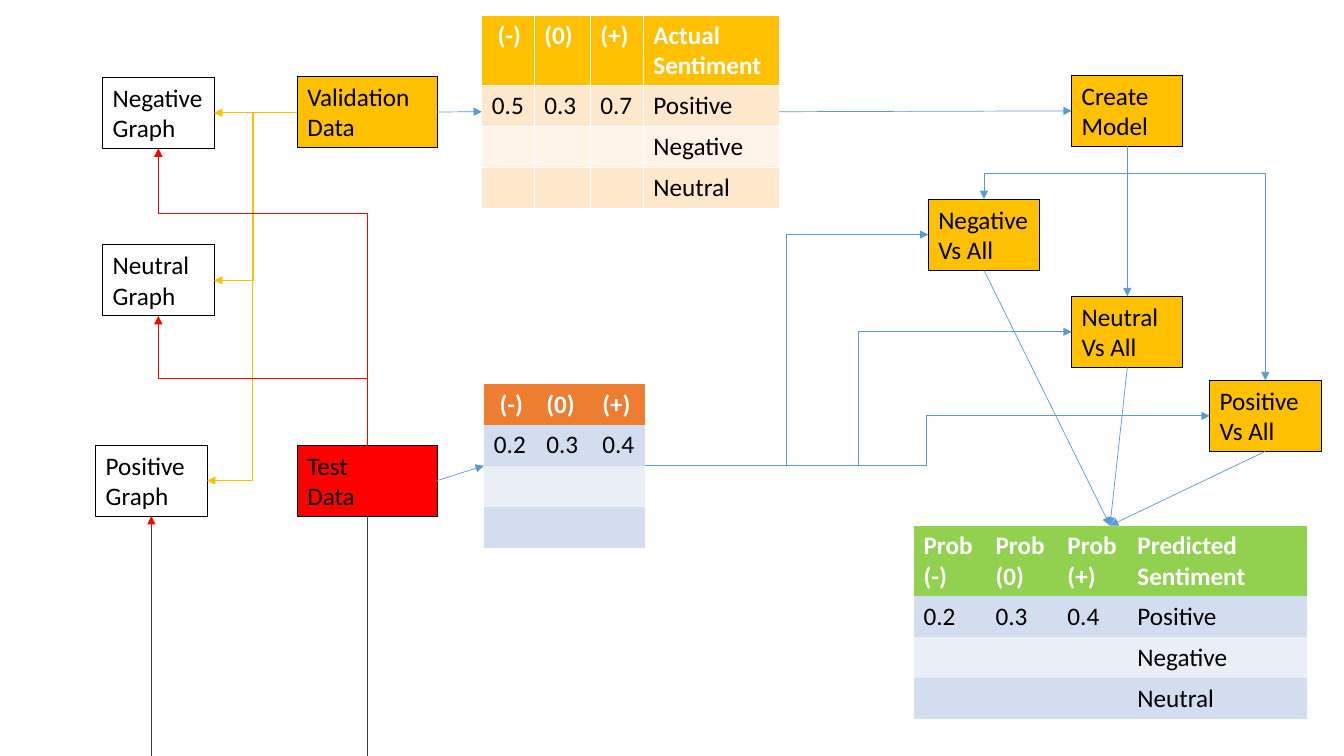
from lxml import etree
from pptx import Presentation
from pptx import oxml, util as u
from pptx.dml.color import RGBColor
from pptx.enum import shapes as sh, text as tx
from pptx.oxml.ns import qn

Pt = u.Pt
GOLD, RED, BLUE, DARK = "FFC000", "FF0000", "5B9BD5", "404040"
PALE = ["D2DEEF", "EAEFF7"]
CREAM = ["FFE8CC", "FFF4E7"]
PLAIN = "{2D5ABB26-0587-4C30-8999-92F81FD0307C}"
HIGH, ROW, HEAD = 50.8, 29.2, 50.6


def hue(code):
    return RGBColor.from_string(code)


def write(frame, words, color="000000", bold=False):
    for i, line in enumerate(words.split("\n")):
        para = frame.paragraphs[0] if i == 0 else frame.add_paragraph()
        para.alignment = tx.PP_ALIGN.LEFT
        run = para.add_run()
        run.text = line
        run.font.name = "Calibri"
        run.font.size = Pt(18)
        run.font.bold = bold
        run.font.color.rgb = hue(color)


def box(slide, words, x, y, wide=79.5, fill=None):
    node = slide.shapes.add_shape(
        sh.MSO_SHAPE.RECTANGLE, Pt(x), Pt(y), Pt(wide), Pt(HIGH))
    node.shadow.inherit = False
    if fill:
        node.fill.solid()
        node.fill.fore_color.rgb = hue(fill)
    else:
        node.fill.background()
    node.line.color.rgb = hue("000000")
    node.line.width = Pt(0.75)
    frame = node.text_frame
    frame.word_wrap = True
    frame.vertical_anchor = tx.MSO_ANCHOR.TOP
    frame.auto_size = tx.MSO_AUTO_SIZE.SHAPE_TO_FIT_TEXT
    write(frame, words)
    return node


def side(node, spot):
    x, y = [(0.5, 0), (0, 0.5), (0.5, 1), (1, 0.5)][spot]
    return ((node.left + x * node.width) / Pt(1),
            (node.top + y * node.height) / Pt(1))


def wire(slide, kind, a, b, color, tip=True):
    line = slide.shapes.add_connector(kind, *[Pt(v) for v in (*a, *b)])
    line.line.color.rgb = hue(color)
    line.line.width = Pt(0.5)
    if tip:
        pen = line.line._get_or_add_ln()
        etree.SubElement(pen, qn("a:tailEnd"), type="triangle")
    etree.SubElement(line._element.spPr, qn("a:effectLst"))
    return line


def link(slide, a, b, color=BLUE, tip=True, start=None, end=None):
    line = wire(slide, sh.MSO_CONNECTOR.STRAIGHT, a, b, color, tip)
    if start:
        line.begin_connect(*start)
    if end:
        line.end_connect(*end)


def bend(slide, a, b, mid, color=BLUE, down=False):
    (ax, ay), (bx, by) = a, b
    part = (mid - ay) / (by - ay) if down else (mid - ax) / (bx - ax)
    if down:
        cx, cy = (ax + bx) / 2, (ay + by) / 2
        dx, dy = (bx - ax) / 2, (by - ay) / 2
        a, b = (cx - dy, cy + dx), (cx + dy, cy - dx)
    line = wire(slide, sh.MSO_CONNECTOR.ELBOW, a, b, color)
    props = line._element.spPr
    if down:
        props.find(qn("a:xfrm")).set("rot", "5400000")
    shape = props.find(qn("a:prstGeom"))
    for old in shape.findall(qn("a:avLst")):
        shape.remove(old)
    shape.append(oxml.parse_xml(
        '<a:avLst xmlns:a="http://schemas.openxmlformats.org/drawingml/2006/main">'
        f'<a:gd name="adj1" fmla="val {round(part * 100000)}"/></a:avLst>'))


def grid(slide, x, y, cols, rows, head, bands, top=HEAD, lined=False):
    high = top + ROW * (len(rows) - 1)
    item = slide.shapes.add_table(
        len(rows), len(cols), Pt(x), Pt(y), Pt(sum(cols)), Pt(high))
    table = item.table
    if not lined:
        table._tbl.tblPr.find(qn("a:tableStyleId")).text = PLAIN
    for col, wide in zip(table.columns, cols):
        col.width = Pt(wide)
    for r, words in enumerate(rows):
        table.rows[r].height = Pt(ROW if r else top)
        for c, word in enumerate(words):
            cell = table.cell(r, c)
            cell.fill.solid()
            cell.fill.fore_color.rgb = hue(bands[(r - 1) % 2] if r else head)
            if word:
                write(cell.text_frame, word, "000000" if r else "FFFFFF", not r)
            else:
                cell.text_frame.paragraphs[0].font.size = Pt(18)
    return item


def inputs(slide, x, y, base):
    graphs = [box(slide, name + "\nGraph", x + dx, y + dy) for name, dx, dy in
              (("Negative", 5, 0.6), ("Neutral", 5, 120.3), ("Positive", 0, 263.3))]
    valid = box(slide, "Validation Data", x + 144, y, 99.8, GOLD)
    test = box(slide, "Test\nData", x + 144, y + 263.3, 99.8, RED)
    for graph in graphs:
        bend(slide, side(valid, 1), side(graph, 3), x + 112.2, GOLD)
    bend(slide, side(test, 0), side(graphs[0], 2), y + 97.8, RED, True)
    bend(slide, side(test, 2), side(graphs[1], 2), y + 215.5, RED, True)
    foot = side(graphs[2], 2)
    low = foot[0], foot[1] + 8
    link(slide, side(test, 2), (side(test, 2)[0], base), DARK, False, (test, 2))
    link(slide, (low[0], base), low, DARK, False)
    link(slide, low, foot, RED, end=(graphs[2], 2))
    return valid, test


def models(slide, x, y):
    make = box(slide, "Create Model", x + 102.4, y, fill=GOLD)
    neg, neu, pos = [
        box(slide, name + "\nVs All", x + dx, y + dy, fill=GOLD)
        for name, dx, dy in (("Negative", 0, 88.4), ("Neutral", 102.4, 157.8),
                             ("Positive", 201, 217.8))]
    root = side(make, 2)
    for goal in (neg, pos):
        bend(slide, root, side(goal, 0), y + 70, down=True)
    link(slide, root, side(neu, 0), start=(make, 2), end=(neu, 0))
    return make, neg, neu, pos


def flow(slide, wide, high):
    valid, test = inputs(slide, 68.4, 54.6, high)
    marks = [" (-)", "(0)", "(+)"]
    slim = [37.4, 40, 37.9]
    actual = grid(
        slide, 344.2, 10.7, slim + [97.1],
        [marks + ["Actual\nSentiment"], ["0.5", "0.3", "0.7", "Positive"],
         ["", "", "", "Negative"], ["", "", "", "Neutral"]],
        GOLD, CREAM, lined=True)
    probe = grid(slide, 345.6, 274.3, slim,
                 [marks, ["0.2", "0.3", "0.4"], [""] * 3, [""] * 3],
                 "ED7D31", PALE, top=ROW)
    make, *tests = models(slide, wide - 296.9, 53.8)
    link(slide, side(valid, 3), side(actual, 1), start=(valid, 3))
    link(slide, side(test, 3), side(probe, 1), start=(test, 3))
    link(slide, side(actual, 3), side(make, 1), end=(make, 1))
    for goal, mid in zip(tests, (562, 613.2, 661.8)):
        bend(slide, side(probe, 3), side(goal, 1), mid)
    result = grid(
        slide, 652.5, 375.4, [51.4, 51.4, 50, 128],
        [["Prob\n(-)", "Prob\n(0)", "Prob\n(+)", "Predicted\nSentiment"],
         ["0.2", "0.3", "0.4", "Positive"],
         ["", "", "", "Negative"], ["", "", "", "Neutral"]],
        "92D050", PALE)
    for goal in tests:
        link(slide, side(goal, 2), side(result, 0), start=(goal, 2))


def main():
    deck = Presentation()
    deck.slide_width, deck.slide_height = Pt(960), Pt(540)
    flow(deck.slides.add_slide(deck.slide_layouts[6]), 960, 540)
    deck.save("out.pptx")


if __name__ == "__main__":
    main()
